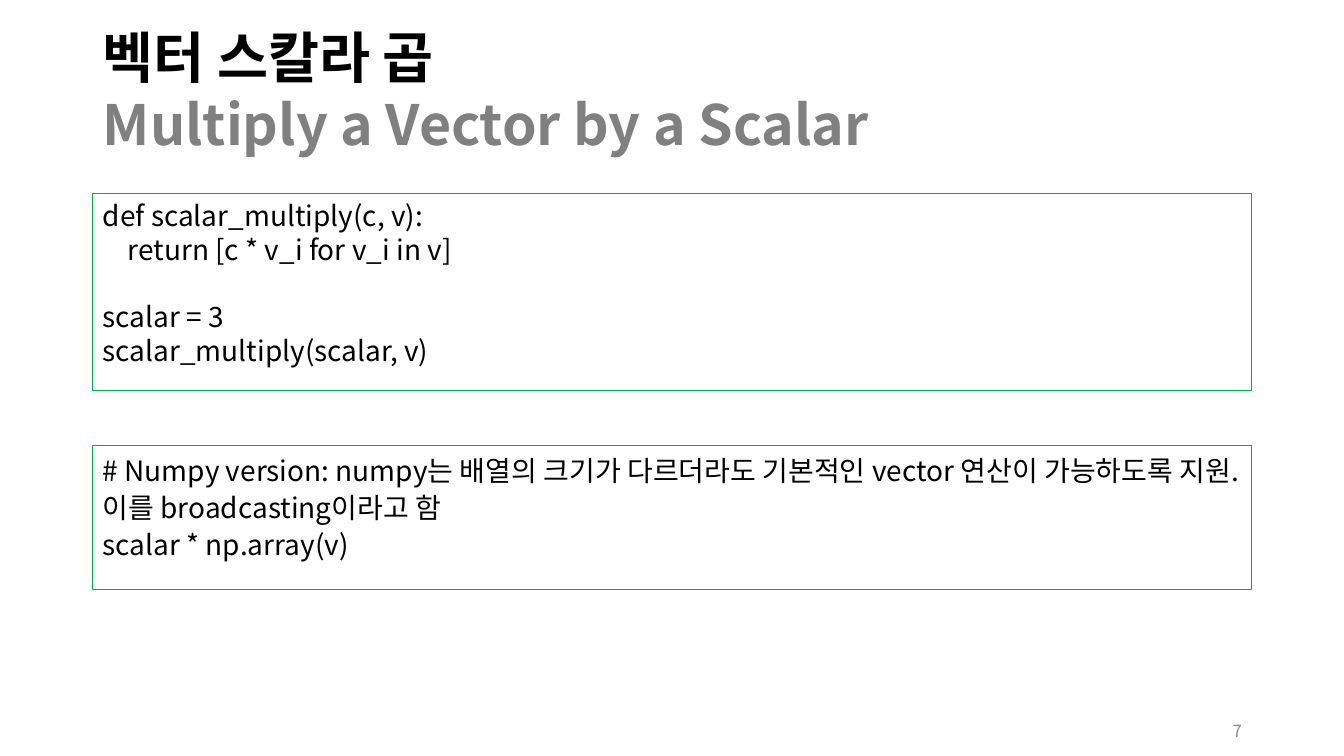
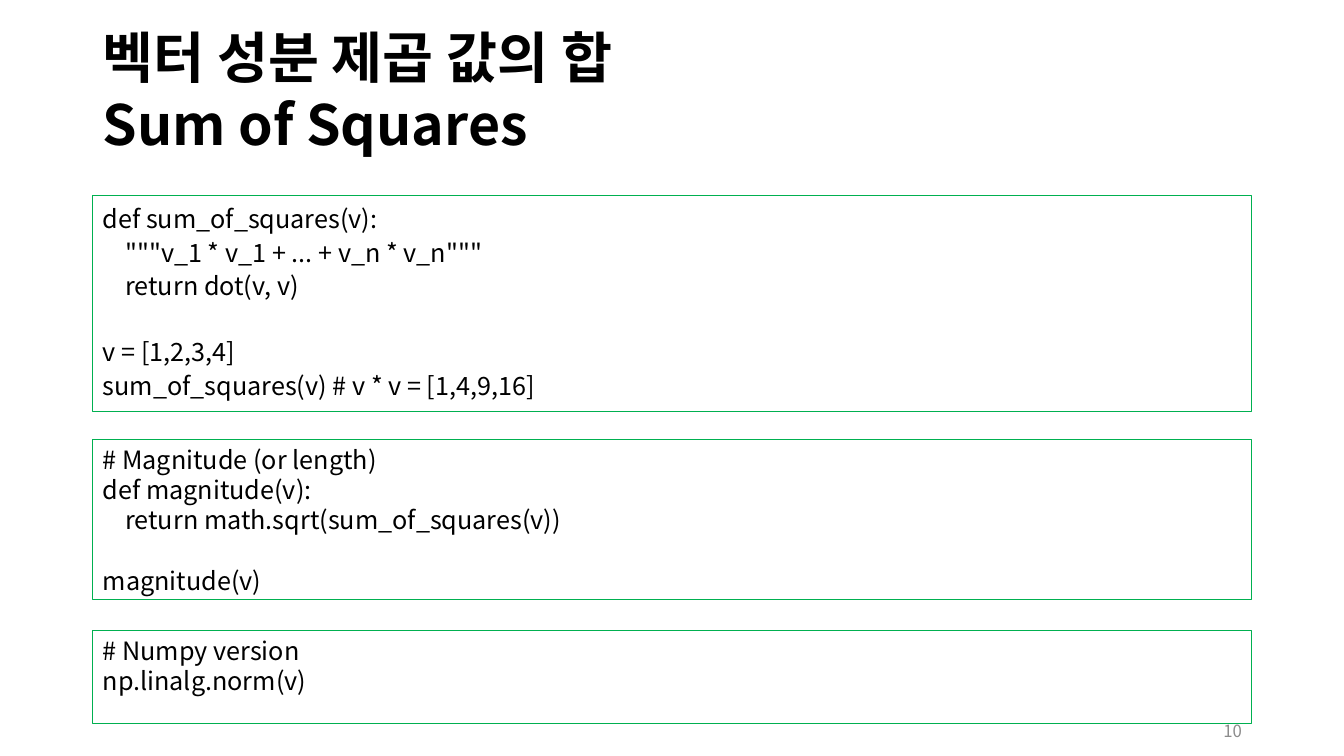
from pptx import Presentation
from pptx.dml.color import RGBColor
from pptx.enum.shapes import MSO_SHAPE
from pptx.enum.text import MSO_ANCHOR, PP_ALIGN
from pptx.oxml import parse_xml
from pptx.oxml.ns import nsdecls
from pptx.util import Cm, Pt

# Shared look
FONT = "Noto Sans CJK KR"
BLACK = RGBColor(0x00, 0x00, 0x00)
GREY = RGBColor(0x80, 0x80, 0x80)
NUMBER_GREY = RGBColor(0x8C, 0x8C, 0x8C)
GREEN = RGBColor(0x00, 0xB0, 0x50)

LEFT, WIDTH = Cm(2.34), Cm(29.21)
LINE_HEIGHT = 1.2  # natural line height, in text sizes

TITLE_FORMAT = {"name": FONT, "size": Pt(39.6), "bold": True}
NUMBER_FORMAT = {"name": FONT, "size": Pt(12)}

# Content: code boxes are (top, height, line spacing, text), lengths in cm
PAGES = [
    {
        "title": [("벡터 스칼라 곱", BLACK),
                  ("Multiply a Vector by a Scalar", GREY)],
        "number": "7",
        "code_size": 20,
        "boxes": [
            (4.88, 4.95, 1.0, """\
def scalar_multiply(c, v):
    return [c * v_i for v_i in v]

scalar = 3
scalar_multiply(scalar, v)"""),
            (11.23, 3.63, 1.1, """\
# Numpy version: numpy는 배열의 크기가 다르더라도 기본적인 vector 연산이 가능하도록 지원. 이를 broadcasting이라고 함
scalar * np.array(v)"""),
        ],
    },
    {
        "title": [("벡터 성분 제곱 값의 합", BLACK), ("Sum of Squares", BLACK)],
        "number": "10",
        "code_size": 18,
        "boxes": [
            (4.93, 5.44, 1.1, '''\
def sum_of_squares(v):
    """v_1 * v_1 + ... + v_n * v_n"""
    return dot(v, v)

v = [1,2,3,4]
sum_of_squares(v) # v * v = [1,4,9,16]'''),
            (11.07, 4.04, 1.0, """\
# Magnitude (or length)
def magnitude(v):
    return math.sqrt(sum_of_squares(v))

magnitude(v)"""),
            (15.88, 2.36, 1.0, """\
# Numpy version
np.linalg.norm(v)"""),
        ],
    },
]


def add_span(para, text, color, formats):
    """Add a run, with the same typeface for Latin and Korean."""
    span = para.add_run()
    span.text = text
    for name, value in formats.items():
        setattr(span.font, name, value)
    span.font.color.rgb = color
    east_asian = parse_xml(f'<a:ea {nsdecls("a")} typeface="{FONT}"/>')
    span.font._element.append(east_asian)


def add_text_box(page, left, top, width, height):
    """Add a wrapped, vertically centred box and return its paragraph."""
    frame = page.shapes.add_textbox(left, top, width, height).text_frame
    frame.word_wrap = True
    frame.vertical_anchor = MSO_ANCHOR.MIDDLE
    return frame.paragraphs[0]


def add_title(page, lines):
    para = add_text_box(page, LEFT, Cm(0.76), WIDTH, Cm(3.02))
    for index, (text, color) in enumerate(lines):
        if index:
            para.add_line_break()
        add_span(para, text, color, TITLE_FORMAT)


def add_page_number(page, number):
    width = Cm(7.62)
    para = add_text_box(page, LEFT + WIDTH - width, Cm(17.91), width, Cm(1.02))
    para.alignment = PP_ALIGN.RIGHT
    add_span(para, number, NUMBER_GREY, NUMBER_FORMAT)


def add_code_box(page, top, height, spacing, code, size):
    """Add a green outlined box; an empty code line becomes space before."""
    box = page.shapes.add_shape(
        MSO_SHAPE.RECTANGLE, LEFT, Cm(top), WIDTH, Cm(height))
    box.shadow.inherit = False
    box.fill.background()
    box.line.color.rgb = GREEN
    box.line.width = Pt(0.75)
    frame = box.text_frame
    frame.word_wrap = True
    frame.vertical_anchor = MSO_ANCHOR.TOP

    para, gap = frame.paragraphs[0], 0
    for index, line in enumerate(code.split("\n")):
        if not line:
            gap += size * LINE_HEIGHT * spacing
            continue
        if index:
            para = frame.add_paragraph()
        layout = {"alignment": PP_ALIGN.LEFT, "line_spacing": spacing,
                  "space_before": Pt(gap)}
        for name, value in layout.items():
            setattr(para, name, value)
        add_span(para, line, BLACK, {"name": FONT, "size": Pt(size)})
        gap = 0


def main():
    deck = Presentation()
    deck.slide_width, deck.slide_height = Cm(33.87), Cm(19.05)
    for content in PAGES:
        page = deck.slides.add_slide(deck.slide_layouts[6])
        add_title(page, content["title"])
        add_page_number(page, content["number"])
        for top, height, spacing, code in content["boxes"]:
            add_code_box(page, top, height, spacing, code, content["code_size"])
    deck.save("out.pptx")


if __name__ == "__main__":
    main()
